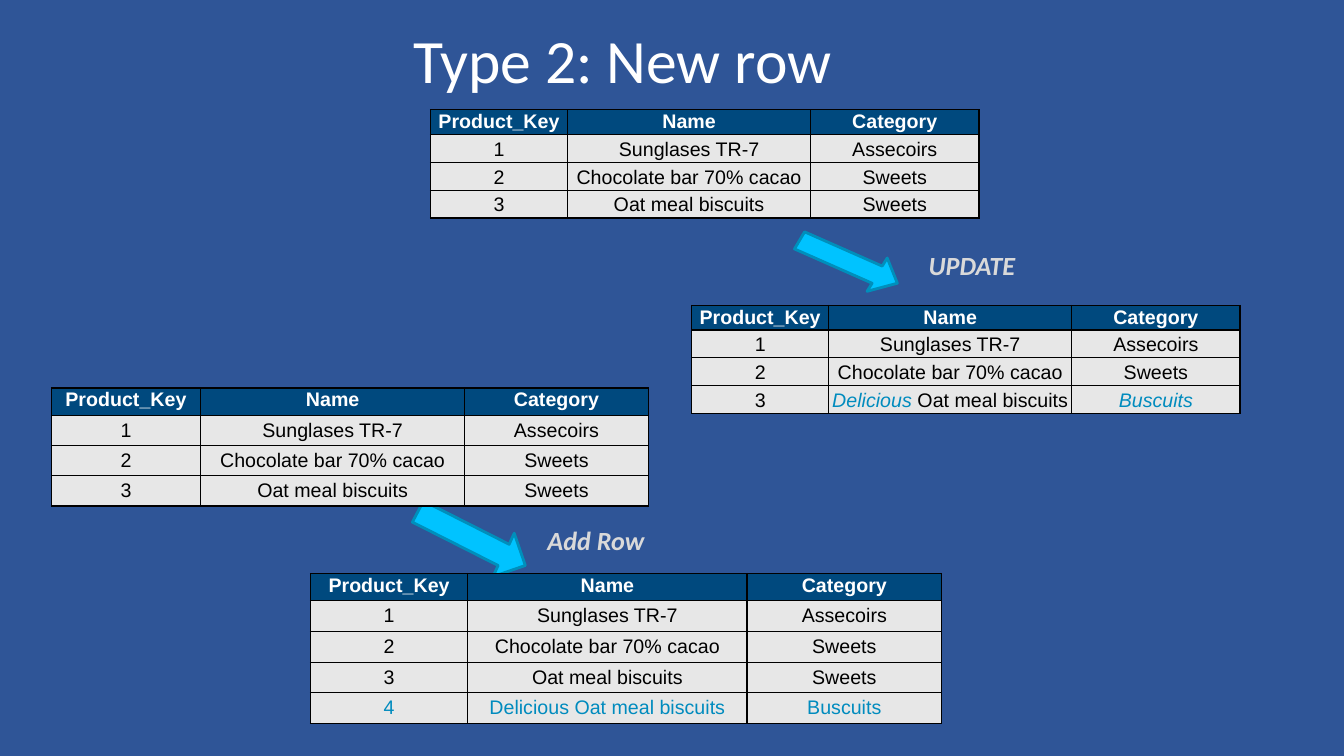
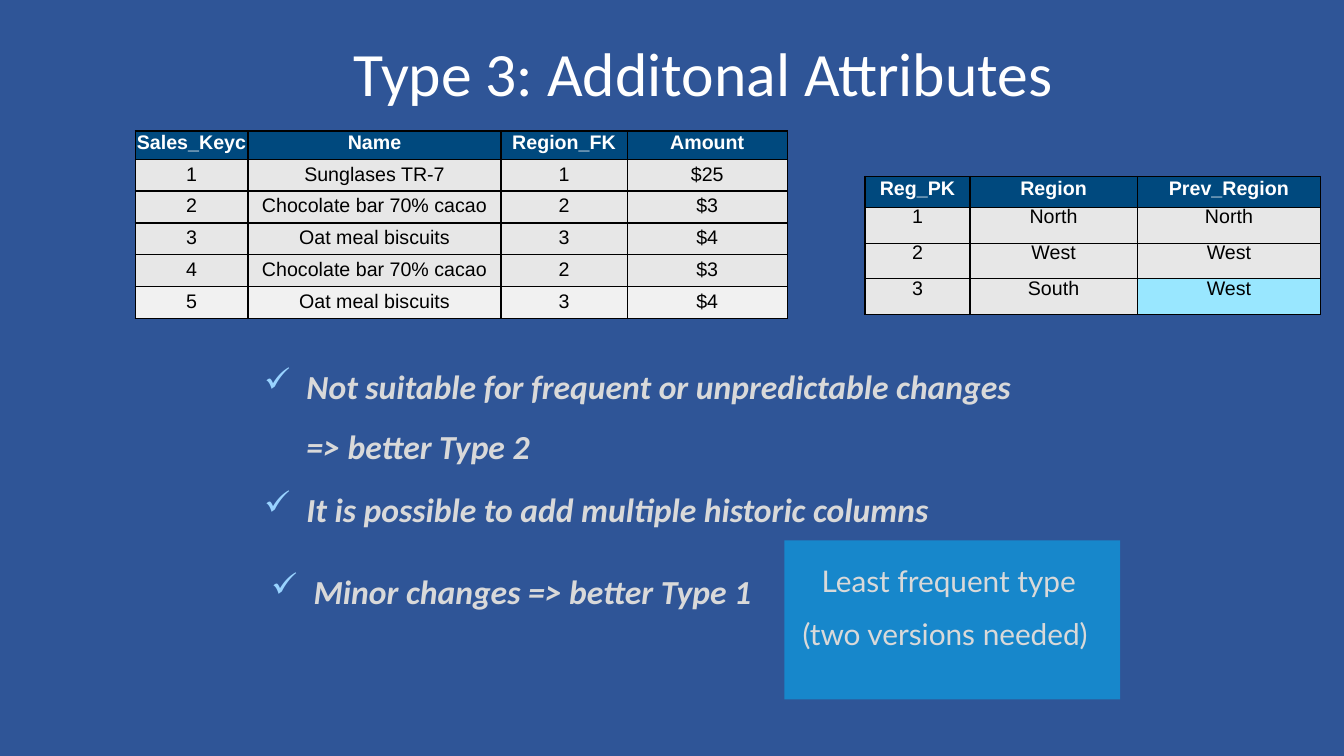
from lxml.etree import SubElement
from pptx import Presentation
from pptx.dml.color import RGBColor
from pptx.enum.shapes import MSO_SHAPE
from pptx.enum.text import MSO_ANCHOR, PP_ALIGN
from pptx.oxml.ns import qn
from pptx.util import Inches, Pt

# Shared colours and text formats
BACKGROUND = RGBColor(0x2F, 0x55, 0x97)
WHITE = RGBColor(0xFF, 0xFF, 0xFF)
BLACK = RGBColor(0x00, 0x00, 0x00)
PALE = RGBColor(0xD9, 0xD9, 0xD9)
HEADER_BLUE = RGBColor(0x00, 0x49, 0x7E)
ROW_GREY = RGBColor(0xE7, 0xE7, 0xE7)
NEW_ROW_GREY = RGBColor(0xF1, 0xF1, 0xF1)
HIGHLIGHT = RGBColor(0x99, 0xE7, 0xFF)
CHANGED = RGBColor(0x00, 0x8B, 0xBE)
ARROW_FILL = RGBColor(0x00, 0xC3, 0xFF)
ARROW_LINE = RGBColor(0x00, 0x8F, 0xBB)
CALLOUT_FILL = RGBColor(0x00, 0xBA, 0xFF)
CHECK_COLOR = RGBColor(0x99, 0xD3, 0xFF)

TITLE = {"name": "Calibri", "size": Pt(44), "color": WHITE}
LABEL = {"name": "Calibri", "size": Pt(18.7), "color": PALE, "bold": True, "italic": True}
BULLET = {**LABEL, "size": Pt(24)}
CALLOUT = {"name": "Lato", "size": Pt(21.3), "color": PALE}
HEADER = {"name": "Arial", "size": Pt(14), "color": WHITE, "bold": True}
BODY = {**HEADER, "color": BLACK, "bold": False}
NEW = {**BODY, "color": CHANGED}
EDITED = {**NEW, "italic": True}

# Table content: a cell is a string, or a list of (text, format) runs
PRODUCT_HEADER = ["Product_Key", "Name", "Category"]
PRODUCTS = [
    ["1", "Sunglases TR-7", "Assecoirs"],
    ["2", "Chocolate bar 70% cacao", "Sweets"],
    ["3", "Oat meal biscuits", "Sweets"],
]
UPDATED_ROW = ["3", [("Delicious ", EDITED), ("Oat meal biscuits", BODY)],
               [("Buscuits", EDITED)]]
ADDED_ROW = [[(text, NEW)] for text in ("4", "Delicious Oat meal biscuits", "Buscuits")]
SALES = [
    ["Sales_Keyc", "Name", "Region_FK", "Amount"],
    ["1", "Sunglases TR-7", "1", "$25"],
    ["2", "Chocolate bar 70% cacao", "2", "$3"],
    ["3", "Oat meal biscuits", "3", "$4"],
    ["4", "Chocolate bar 70% cacao", "2", "$3"],
    ["5", "Oat meal biscuits", "3", "$4"],
]
REGIONS = [
    ["Reg_PK", "Region", "Prev_Region"],
    ["1", "North", "North"],
    ["2", "West", "West"],
    ["3", "South", "West"],
]

# Each table: rows, left, top, column widths, header height, total height
SMALL_COLS = [1.36, 2.41, 1.67]
TYPE_2 = {
    "title": ("Type 2: New row", 4.1, 0.19),
    "arrows": [
        [(4.2, 4.97), (4.09, 5.18), (4.94, 5.61), (4.89, 5.72),
         (5.21, 5.61), (5.1, 5.29), (5.05, 5.4)],
        [(7.98, 2.3), (7.88, 2.47), (8.65, 2.81), (8.6, 2.89),
         (8.9, 2.81), (8.8, 2.56), (8.75, 2.64)],
    ],
    "tables": [
        ([PRODUCT_HEADER, *PRODUCTS], 4.27, 1.09, SMALL_COLS, 0.24, 1.07),
        ([PRODUCT_HEADER, *PRODUCTS[:2], UPDATED_ROW], 6.86, 3.03, SMALL_COLS, 0.24, 1.07),
        ([PRODUCT_HEADER, *PRODUCTS], 0.51, 3.85, [1.48, 2.62, 1.82], 0.27, 1.17),
        ([PRODUCT_HEADER, *PRODUCTS, ADDED_ROW], 3.08, 5.69, [1.56, 2.77, 1.93], 0.27, 1.49),
    ],
    "labels": [("UPDATE", 9.21, 2.47), ("Add Row", 5.43, 5.2)],
}
TYPE_3 = {"title": ("Type 3: Additonal Attributes", 3.51, 0.32)}
SALES_TABLE = (SALES, 1.34, 1.3, [1.12, 2.51, 1.25, 1.59], 0.28, 1.86)
REGION_TABLE = (REGIONS, 8.58, 1.75, [1.04, 1.66, 1.82], 0.31, 1.37)

# Bullet boxes: position, then (text, has check mark, points before)
BULLET_BOXES = [
    ((2.62, 3.63, 7.6, 1.63), [
        ("Not suitable for frequent or unpredictable changes", True, 0),
        ("=> better Type 2", False, 14.4),
        ("It is possible to add multiple historic columns", True, 15.7),
    ]),
    ((2.69, 5.66, 4.81, 0.4), [("Minor changes => better Type 1", True, 0)]),
]
CHECK_INDENT = Inches(0.42)


def add_run(paragraph, text, style):
    run = paragraph.add_run()
    run.text = text
    for attribute, value in style.items():
        if attribute == "color":
            run.font.color.rgb = value
        else:
            setattr(run.font, attribute, value)


def clear_margins(frame):
    for side in ("left", "top", "right", "bottom"):
        setattr(frame, f"margin_{side}", 0)


def add_text(slide, text, box, style, anchor=MSO_ANCHOR.TOP):
    frame = slide.shapes.add_textbox(*map(Inches, box)).text_frame
    frame.word_wrap = True
    frame.vertical_anchor = anchor
    clear_margins(frame)
    if text:
        add_run(frame.paragraphs[0], text, style)
    return frame


def add_borders(cell):
    properties = cell._tc.get_or_add_tcPr()
    for position, side in enumerate(("lnL", "lnR", "lnT", "lnB")):
        line = properties.makeelement(qn(f"a:{side}"), {"w": str(Pt(1))})
        fill = SubElement(line, qn("a:solidFill"))
        SubElement(fill, qn("a:srgbClr"), val=str(BLACK))
        properties.insert(position, line)


def add_grid(slide, rows, left, top, widths, header_height, height,
             fills=None, line_spacing=None):
    frame = slide.shapes.add_table(len(rows), len(widths), Inches(left), Inches(top),
                                   Inches(sum(widths)), Inches(height))
    table = frame.table
    body_height = (height - header_height) / (len(rows) - 1)
    for column, width in zip(table.columns, widths):
        column.width = Inches(width)
    for r, row in enumerate(rows):
        table.rows[r].height = Inches(body_height if r else header_height)
        for c, content in enumerate(row):
            cell = table.cell(r, c)
            clear_margins(cell)
            cell.margin_top = Inches(0.04 if r else 0.01)
            cell.fill.solid()
            default = ROW_GREY if r else HEADER_BLUE
            cell.fill.fore_color.rgb = (fills or {}).get((r, c), default)
            add_borders(cell)
            paragraph = cell.text_frame.paragraphs[0]
            paragraph.alignment = PP_ALIGN.CENTER
            if r and line_spacing:
                paragraph.line_spacing = line_spacing
            if isinstance(content, str):
                content = [(content, BODY if r else HEADER)]
            for text, style in content:
                add_run(paragraph, text, style)


def add_arrow(slide, points):
    corners = [(Inches(x), Inches(y)) for x, y in points]
    builder = slide.shapes.build_freeform(*corners[0], scale=1.0)
    builder.add_line_segments(corners[1:], close=True)
    arrow = builder.convert_to_shape()
    arrow.shadow.inherit = False
    arrow.fill.solid()
    arrow.fill.fore_color.rgb = ARROW_FILL
    arrow.line.color.rgb = ARROW_LINE
    arrow.line.width = Pt(2)


def add_bullets(slide, box, items):
    frame = add_text(slide, "", box, BULLET)
    for index, (text, checked, before) in enumerate(items):
        paragraph = frame.add_paragraph() if index else frame.paragraphs[0]
        properties = paragraph._p.get_or_add_pPr()
        properties.set("marL", str(CHECK_INDENT))
        properties.set("indent", str(-CHECK_INDENT if checked else 0))
        if checked:
            color = SubElement(properties, qn("a:buClr"))
            SubElement(color, qn("a:srgbClr"), val=str(CHECK_COLOR))
            SubElement(properties, qn("a:buChar"), char="✓")
        if before:
            paragraph.space_before = Pt(before)
        add_run(paragraph, text, BULLET)


def add_callout(slide):
    callout = slide.shapes.add_shape(MSO_SHAPE.RECTANGLE, Inches(7.78), Inches(5.36),
                                     Inches(3.33), Inches(1.58))
    callout.shadow.inherit = False
    callout.line.fill.background()
    callout.fill.solid()
    callout.fill.fore_color.rgb = CALLOUT_FILL
    color = callout.fill._xPr.find(qn("a:solidFill"))[0]
    SubElement(color, qn("a:alpha"), val="50000")
    frame = callout.text_frame
    frame.word_wrap = True
    frame.vertical_anchor = MSO_ANCHOR.TOP
    clear_margins(frame)
    frame.margin_top = Inches(0.04)
    paragraph = frame.paragraphs[0]
    paragraph.alignment = PP_ALIGN.LEFT
    paragraph.line_spacing = Pt(38.4)
    properties = paragraph._p.get_or_add_pPr()
    properties.set("marL", str(Inches(0.18)))
    properties.set("indent", str(Inches(0.19)))
    add_run(paragraph, "Least frequent type (two versions needed)", CALLOUT)


def new_slide(deck, title):
    slide = deck.slides.add_slide(deck.slide_layouts[6])
    slide.background.fill.solid()
    slide.background.fill.fore_color.rgb = BACKGROUND
    text, left, top = title
    add_text(slide, text, (left, top, 7.5, 0.78), TITLE, MSO_ANCHOR.MIDDLE)
    return slide


def main():
    deck = Presentation()
    deck.slide_width, deck.slide_height = Inches(13.33), Inches(7.5)

    # Type 2: arrows lie behind the tables
    slide = new_slide(deck, TYPE_2["title"])
    for points in TYPE_2["arrows"]:
        add_arrow(slide, points)
    for table in TYPE_2["tables"]:
        add_grid(slide, *table)
    for text, left, top in TYPE_2["labels"]:
        add_text(slide, text, (left, top, 1.2, 0.32), LABEL)

    # Type 3: sales and regions above the remarks
    slide = new_slide(deck, TYPE_3["title"])
    last = len(SALES) - 1
    add_grid(slide, *SALES_TABLE, fills={(last, c): NEW_ROW_GREY for c in range(len(SALES[0]))})
    add_grid(slide, *REGION_TABLE, fills={(3, 2): HIGHLIGHT}, line_spacing=Pt(11.8))
    for box, items in BULLET_BOXES:
        add_bullets(slide, box, items)
    add_callout(slide)

    deck.save("out.pptx")


if __name__ == "__main__":
    main()
